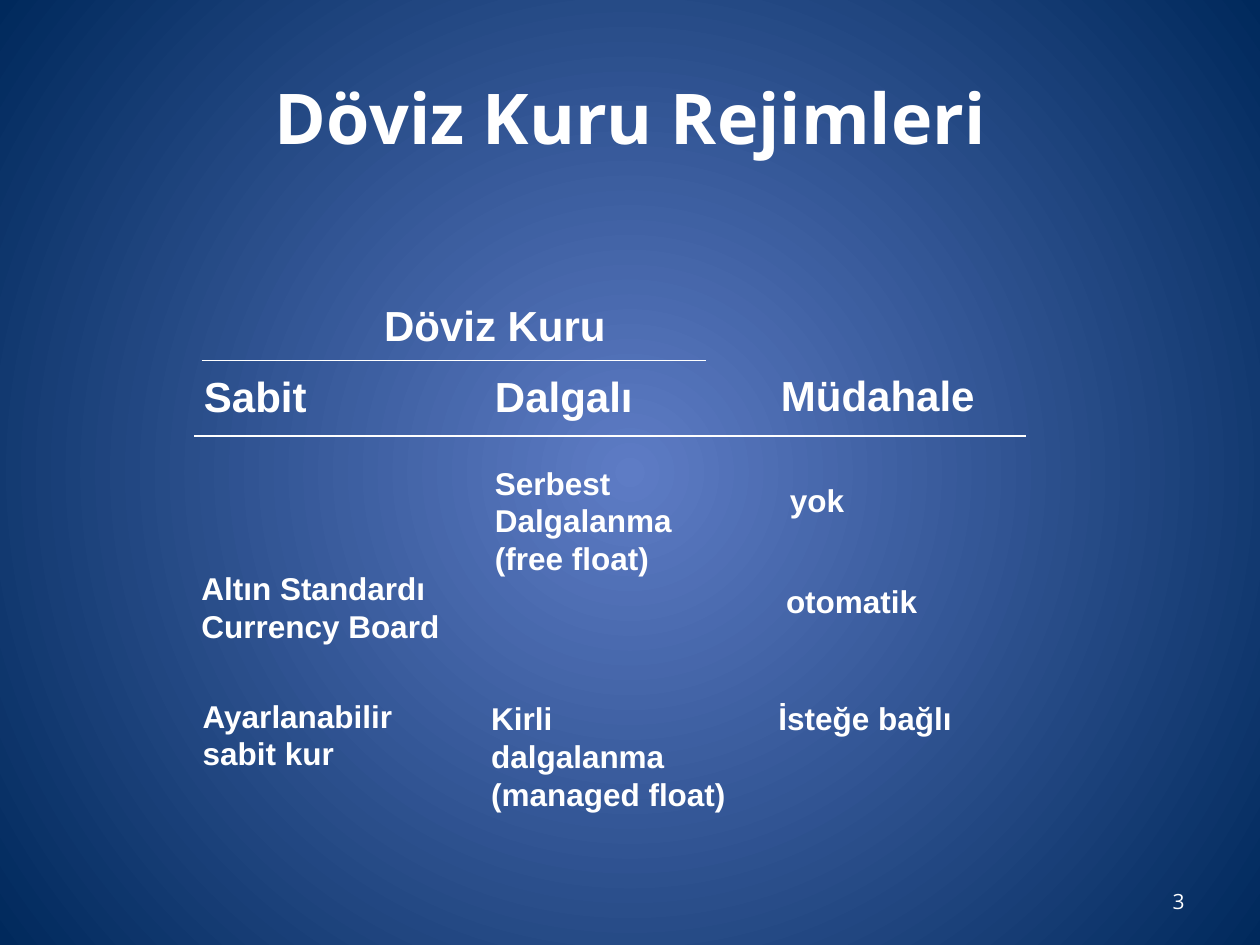
from lxml import etree
from pptx import Presentation
from pptx.dml.color import RGBColor
from pptx.enum.shapes import MSO_CONNECTOR
from pptx.enum.text import MSO_ANCHOR, MSO_AUTO_SIZE, PP_ALIGN
from pptx.oxml.ns import qn
from pptx.util import Emu, Pt

LEFT, CENTER, RIGHT = PP_ALIGN.LEFT, PP_ALIGN.CENTER, PP_ALIGN.RIGHT
TOP, MIDDLE = MSO_ANCHOR.TOP, MSO_ANCHOR.MIDDLE
FIT, FIXED = MSO_AUTO_SIZE.SHAPE_TO_FIT_TEXT, MSO_AUTO_SIZE.NONE
STRAIGHT = MSO_CONNECTOR.STRAIGHT

SCALE = 9144  # EMU per px, 100 px to the inch
COLORS = {"text": "FFFFFF", "glow": "5E7CC5", "edge": "00295C"}
HEAD, BODY = "Open Sans", "Arial"


def px(n):
    return Emu(n * SCALE)


def rgb(name):
    return RGBColor.from_string(COLORS[name])


class Board:
    def __init__(self, slide):
        self.slide = slide

    def glow(self, inner, outer):
        """Fill the background with a round gradient from the centre."""
        fill = self.slide.background.fill
        fill.gradient()
        for stop, name in zip(fill.gradient_stops, (inner, outer)):
            stop.color.rgb = rgb(name)
        grad = next(self.slide.element.iter(qn("a:gradFill")))
        grad.remove(grad.find(qn("a:lin")))
        way = etree.SubElement(grad, qn("a:path"), path="circle")
        sides = dict.fromkeys("ltrb", "50000")
        etree.SubElement(way, qn("a:fillToRect"), sides)

    def text(self, box, lines, size, font=BODY, bold=True,
             align=LEFT, anchor=TOP, wrap=False):
        frame = self.slide.shapes.add_textbox(*map(px, box)).text_frame
        frame.word_wrap = wrap
        frame.auto_size = FIXED if wrap else FIT
        frame.vertical_anchor = anchor
        frame.text = lines
        for para in frame.paragraphs:
            para.alignment = align
            para.font.name = font
            para.font.size = Pt(size)
            para.font.bold = bold
            para.font.color.rgb = rgb("text")

    def rule(self, left, top, width):
        line = self.slide.shapes.add_connector(
            STRAIGHT, px(left), px(top), px(left + width), px(top))
        line.line.color.rgb = rgb("text")
        line.line.width = Pt(0.75)
        etree.SubElement(line.element.spPr, qn("a:effectLst"))


def main():
    deck = Presentation()
    deck.slide_width, deck.slide_height = px(1000), px(750)
    board = Board(deck.slides.add_slide(deck.slide_layouts[6]))
    board.glow("glow", "edge")

    # Title and page number
    board.text((50, 30, 900, 125), "Döviz Kuru Rejimleri", 40, HEAD,
               align=CENTER, anchor=MIDDLE, wrap=True)
    board.text((717, 695, 233, 40), "3", 12, HEAD, bold=False,
               align=RIGHT, anchor=MIDDLE, wrap=True)

    # Column heads: left, top, width, words
    heads = [
        (295, 233, 196, "Döviz Kuru"),
        (152, 289, 102, "Sabit"),
        (383, 289, 129, "Dalgalı"),
        (610, 288, 174, "Müdahale"),
    ]
    for left, top, width, words in heads:
        board.text((left, top, width, 50), words, 24)

    # Rules under the heads
    board.rule(160, 286, 400)
    board.rule(154, 346, 660)

    # Regimes, row by row: left, top, width, words
    cells = [
        (383, 363, 160, "Serbest\nDalgalanma\n(free float)"),
        (617, 377, 63, "yok"),
        (150, 447, 209, "Altın Standardı\nCurrency Board"),
        (614, 457, 124, "otomatik"),
        (151, 548, 178, "Ayarlanabilir\nsabit kur"),
        (380, 550, 206, "Kirli\ndalgalanma\n(managed float)"),
        (608, 550, 158, "İsteğe bağlı"),
    ]
    for left, top, width, words in cells:
        height = 40 + 30 * words.count("\n")
        board.text((left, top, width, height), words, 18)

    deck.save("out.pptx")


if __name__ == "__main__":
    main()
